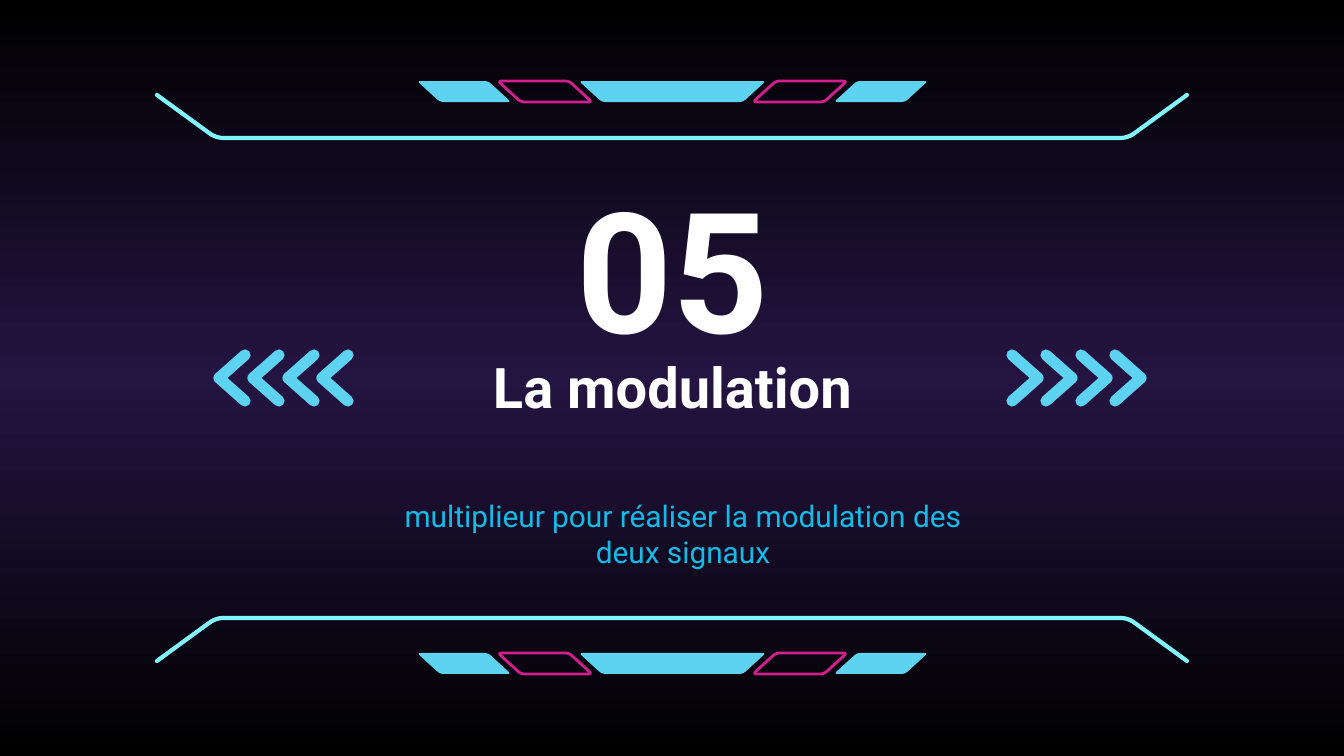
from copy import deepcopy

from lxml.etree import SubElement
from pptx import Presentation
from pptx.dml.color import RGBColor
from pptx.enum.text import MSO_ANCHOR as Anchor, PP_ALIGN as Align
from pptx.oxml.ns import qn
from pptx.util import Pt

PX = 914400 / 134.4
WIDTH, HEIGHT = 1344, 756
CYAN, PALE_CYAN, MAGENTA = "5ED2F1", "81F5FF", "D1208D"


def paint(color_format, color):
    color_format.rgb = RGBColor.from_string(color)


def draw(shapes, points, cut=0, closed=False, fill=None, line=None, weight=0):
    """Draw a path through px points, rounding each corner from cut px away."""
    outline = []
    for i, (x, y) in enumerate(points):
        if not cut or (not closed and i in (0, len(points) - 1)):
            outline.append((x, y))
            continue
        ends = []
        for nx, ny in (points[i - 1], points[(i + 1) % len(points)]):
            share = cut / ((nx - x) ** 2 + (ny - y) ** 2) ** 0.5
            ends.append((x + (nx - x) * share, y + (ny - y) * share))
        (ax, ay), (bx, by) = ends
        for step in range(7):
            t = step / 6
            u = 1 - t
            outline.append((u * u * ax + 2 * u * t * x + t * t * bx,
                            u * u * ay + 2 * u * t * y + t * t * by))
    outline = [(round(x * PX), round(y * PX)) for x, y in outline]
    builder = shapes.build_freeform(*outline[0])
    builder.add_line_segments(outline[1:], close=closed)
    shape = builder.convert_to_shape()
    shape.shadow.inherit = False
    if fill:
        shape.fill.solid()
        paint(shape.fill.fore_color, fill)
    else:
        shape.fill.background()
    if line:
        paint(shape.line.color, line)
        shape.line.width = Pt(weight)
        line_xml = shape.line._get_or_add_ln()
        line_xml.set("cap", "rnd")
        SubElement(line_xml, qn("a:round"))
    else:
        shape.line.fill.background()


presentation = Presentation()
presentation.slide_width = round(WIDTH * PX)
presentation.slide_height = round(HEIGHT * PX)
slide = presentation.slides.add_slide(presentation.slide_layouts[6])

# Background: black, violet in the middle, black
background = slide.background.fill
background.gradient()
background.gradient_angle = 90
stop_list = slide.element.find(".//" + qn("a:gsLst"))
stop_list.insert(1, deepcopy(stop_list[0]))
for stop, position, color in zip(background.gradient_stops, (0, 0.5, 1),
                                 ("000000", "241441", "000000")):
    stop.position = position
    paint(stop.color, color)

# Texts: box, anchor, size, colour, bold, left margin, first-line indent, lines
texts = [
    ((376, 339, 593, 175), Anchor.TOP, 30, "FFFFFF", True, 0, 0, ["La modulation"]),
    ((433, 177, 480, 203), Anchor.BOTTOM, 90, "FFFFFF", True, 0, 0, ["05"]),
    ((359, 481, 629, 105), Anchor.MIDDLE, 16, "14BBE7", False, 67, -48,
     ["multiplieur pour réaliser la modulation des", "deux signaux"]),
]
for box, anchor, size, color, bold, margin, indent, lines in texts:
    frame = slide.shapes.add_textbox(*(round(v * PX) for v in box)).text_frame
    frame.word_wrap = True
    frame.vertical_anchor = anchor
    frame.margin_left = frame.margin_right = round(13 * PX)
    frame.margin_top = frame.margin_bottom = round(13 * PX)
    for number, text in enumerate(lines):
        paragraph = frame.add_paragraph() if number else frame.paragraphs[0]
        paragraph.alignment = Align.CENTER
        properties = paragraph._p.get_or_add_pPr()
        properties.set("marL", str(round(margin * PX)))
        properties.set("indent", str(round(indent * PX)))
        run = paragraph.add_run()
        run.text = text
        run.font.name = "Roboto"
        run.font.size = Pt(size)
        run.font.bold = bold
        paint(run.font.color, color)

# Frame lines, the lower one mirroring the upper one
half = [(157, 95), (216, 138)]
top_line = half + [(WIDTH - x, y) for x, y in reversed(half)]
bottom_line = [(x, HEIGHT - y) for x, y in top_line]
for points in (top_line, bottom_line):
    draw(slide.shapes, points, cut=8, line=PALE_CYAN, weight=2.25)

# Bars: slanted tiles on both sides of a central trapezoid
SLANT, TILE, BAR_AXIS = 23, 71, 1345
for top in (81, 653):
    bar = slide.shapes.add_group_shape().shapes
    bottom = top + 21
    center = [(579, top), (766, top), (766 - SLANT, bottom), (579 + SLANT, bottom)]
    draw(bar, center, cut=4, closed=True, fill=CYAN)
    for left, style in ((417, {"fill": CYAN}), (498, {"line": MAGENTA, "weight": 1.5})):
        tile = [(left, top), (left + TILE, top),
                (left + TILE + SLANT, bottom), (left + SLANT, bottom)]
        for points in (tile, [(BAR_AXIS - x, y) for x, y in tile]):
            draw(bar, points, cut=4, closed=True, **style)

# Chevrons pointing outwards
CHEVRON_AXIS = 1360
for mirrored in (False, True):
    arrows = slide.shapes.add_group_shape().shapes
    for left in (1012, 1046, 1081, 1115):
        points = [(left, 401), (left + 26, 378), (left, 355)]
        if mirrored:
            points = [(CHEVRON_AXIS - x, y) for x, y in points]
        draw(arrows, points, line=CYAN, weight=6)

presentation.save("out.pptx")
